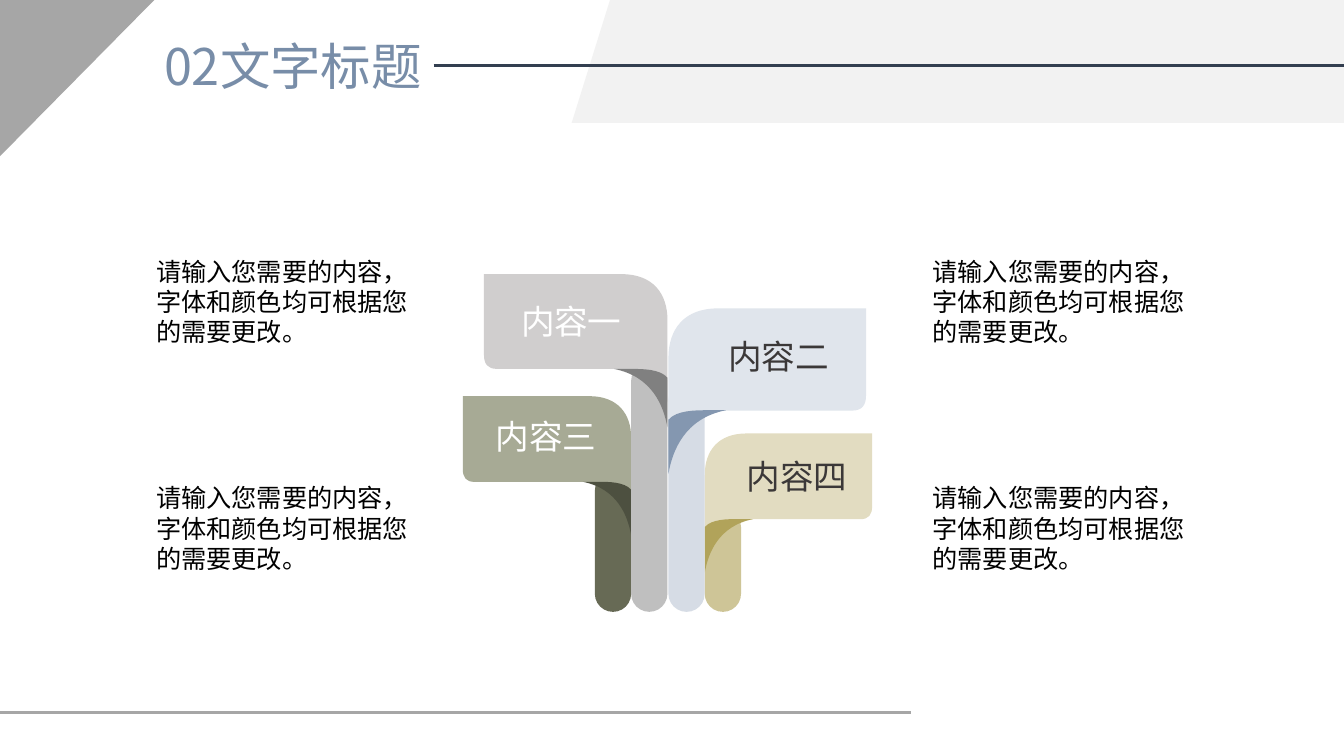
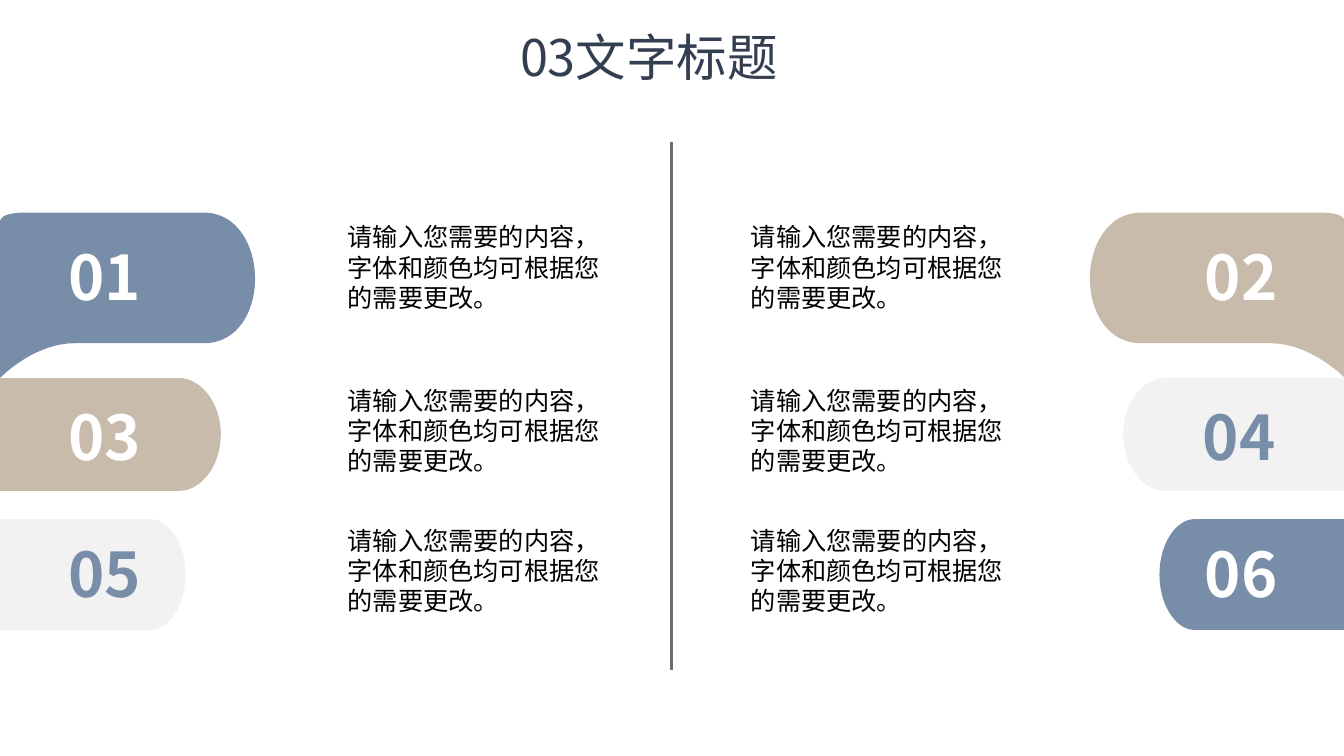
from lxml import etree
from pptx import Presentation
from pptx import util as u
from pptx.dml.color import RGBColor
from pptx.enum import shapes, text
from pptx.oxml import ns

PX = 9144
SLIDE_WIDTH, SLIDE_HEIGHT = 1333, 750
TITLE_FONT = "Noto Sans CJK JP"
BODY_FONT = "Noto Sans CJK SC"
WHITE, BLACK, CHARCOAL = "FFFFFF", "000000", "3B3838"
NAVY, BLUE, SAND = "333F50", "788DA8", "C8BBAC"
PALE, GREY, SLATE = "F2F2F2", "A6A6A6", "6A6F77"
BODY_TEXT = "请输入您需要的内容，字体和颜色均可根据您的需要更改。"
BODY_WIDTH, BODY_HEIGHT = 287, 101

BAND = [(0.05, 0), (1, 0), (1, 1), (0, 1)]
FLAG = [(0.25, 0), (0.08, 0, 0, 0.15, 0, 0.36), (0, 1),
        (0.02, 0.9, 0.12, 0.74, 0.29, 0.74), (0.93, 0.74),
        (0.98, 0.74, 1, 0.7, 1, 0.63), (1, 0)]
FOLD = [(0, 0.15), (0, 1), (0.07, 0.64, 0.28, 0.13, 1, 0), (0.69, 0),
        (0.47, 0, 0.14, 0, 0, 0.15)]
RIBBON = [(0, 1), (0, 0.05), (0.01, 0, 0.07, 0, 0.11, 0), (0.8, 0),
          (0.93, 0, 1, 0.2, 1, 0.4), (1, 0.6, 0.93, 0.79, 0.8, 0.79),
          (0.29, 0.79), (0.19, 0.79, 0.08, 0.88, 0, 1)]
TAB = [(0, 0), (0.81, 0), (0.91, 0, 1, 0.22, 1, 0.5),
       (1, 0.78, 0.91, 1, 0.81, 1), (0, 1)]


def draw_outline(slide, outline, box, color, flipped=False):
    left, top, width, height = box
    segments = [[(round((left + width * (1 - x if flipped else x)) * PX),
                  round((top + height * y) * PX))
                 for x, y in zip(segment[::2], segment[1::2])] for segment in outline]
    corners = [segment[-1] for segment in segments]
    builder = slide.shapes.build_freeform(*corners[0], scale=1.0)
    builder.add_line_segments(corners[1:], close=True)
    shape = builder.convert_to_shape()
    lines = list(shape._element.iter(ns.qn("a:lnTo")))
    for line, segment in zip(lines, segments[1:]):
        if len(segment) == 3:
            curve = etree.Element(ns.qn("a:cubicBezTo"))
            for x, y in segment:
                etree.SubElement(curve, ns.qn("a:pt"), x=str(x - shape.left), y=str(y - shape.top))
            line.getparent().replace(line, curve)
    shape.shadow.inherit = False
    shape.fill.solid()
    shape.fill.fore_color.rgb = RGBColor.from_string(color)
    shape.line.fill.background()


def write_text(shape, box, words, size, color, font=BODY_FONT, margins=(10, 5), wrap=True,
               align=text.PP_ALIGN.LEFT, bold=False, spacing=None):
    shape.left, shape.top, shape.width, shape.height = [value * PX for value in box]
    frame = shape.text_frame
    frame.text = words
    frame.auto_size = text.MSO_AUTO_SIZE.NONE
    frame.word_wrap = wrap
    frame.vertical_anchor = text.MSO_ANCHOR.TOP
    frame.margin_left = frame.margin_right = margins[0] * PX
    frame.margin_top = frame.margin_bottom = margins[1] * PX
    paragraph = frame.paragraphs[0]
    paragraph.alignment = align
    paragraph.line_spacing = u.Pt(size * 1.2)
    run = paragraph.runs[0]
    run.font.size = u.Pt(size)
    run.font.bold = bold
    run.font.color.rgb = RGBColor.from_string(color)
    run.font.name = font
    properties = run._r.get_or_add_rPr()
    etree.SubElement(properties, ns.qn("a:ea"), typeface=font)
    if spacing is not None:
        properties.set("spc", str(spacing))


presentation = Presentation()
presentation.slide_width = SLIDE_WIDTH * PX
presentation.slide_height = SLIDE_HEIGHT * PX

slides = []
for words, left, top, color in [("02文字标题", 151, 31, BLUE), ("03文字标题", 504, 22, NAVY)]:
    slide = presentation.slides.add_slide(presentation.slide_layouts[5])
    write_text(slide.shapes.title, (left, top, 279, 68), words, 36, color, font=TITLE_FONT,
               margins=(0, 4), align=text.PP_ALIGN.CENTER)
    slides.append(slide)
ribbon_slide, numbers_slide = slides

draw_outline(ribbon_slide, BAND, (567, -1, 767, 123), PALE)

corner = ribbon_slide.shapes.add_shape(
    shapes.MSO_SHAPE.RIGHT_TRIANGLE, -1 * PX, 0, 156 * PX, 154 * PX)
corner.rotation = 90
corner.shadow.inherit = False
corner.fill.solid()
corner.fill.fore_color.rgb = RGBColor.from_string(GREY)
corner.line.fill.background()

ribbons = [
    ("内容四", (731, 447), CHARCOAL, (699, 505), (699, 430, 166, 115), False,
     ("CEC597", "E2DCC1", "B1A35A")),
    ("内容二", (713, 328), CHARCOAL, (663, 379), (663, 306, 196, 137), False,
     ("D6DCE5", "E0E5EC", "8497B0")),
    ("内容三", (482, 408), WHITE, (590, 469), (459, 393, 167, 115), True,
     ("676A55", "A7AA95", "4D5040")),
    ("内容一", (507, 294), WHITE, (626, 360), (480, 272, 182, 127), True,
     ("BFBFBF", "D0CECE", "808080")),
]
for label, label_at, label_color, stem_at, flag, flipped, colors in ribbons:
    stem_color, flag_color, fold_color = colors
    stem_left, stem_top = stem_at
    stem = ribbon_slide.shapes.add_shape(
        shapes.MSO_SHAPE.ROUNDED_RECTANGLE, stem_left * PX, stem_top * PX,
        36 * PX, (607 - stem_top) * PX)
    stem.adjustments[0] = 0.5
    stem.shadow.inherit = False
    stem.fill.solid()
    stem.fill.fore_color.rgb = RGBColor.from_string(stem_color)
    stem.line.fill.background()
    draw_outline(ribbon_slide, FLAG, flag, flag_color, flipped)
    left, top, width, height = flag
    fold_width = round(width * 0.29)
    fold_left = left + width - fold_width if flipped else left
    fold = (fold_left, top + round(height * 0.74), fold_width, round(height * 0.46))
    draw_outline(ribbon_slide, FOLD, fold, fold_color, flipped)
    write_text(ribbon_slide.shapes.add_textbox(0, 0, 0, 0), (*label_at, 120, 50), label, 24,
               label_color, wrap=False, spacing=-30)

tags = [
    ("01", RIBBON, (0, 211, 253, 164), (41, 232), BLUE, WHITE),
    ("02", RIBBON, (1081, 211, 253, 164), (1168, 232), SAND, WHITE),
    ("03", TAB, (0, 375, 219, 112), (41, 391), SAND, WHITE),
    ("04", TAB, (1114, 375, 219, 112), (1166, 391), PALE, BLUE),
    ("05", TAB, (0, 515, 184, 110), (41, 527), PALE, BLUE),
    ("06", TAB, (1150, 515, 184, 110), (1168, 527), BLUE, WHITE),
]
for number, outline, box, number_at, color, number_color in tags:
    draw_outline(numbers_slide, outline, box, color, flipped=box[0] > 0)
    write_text(numbers_slide.shapes.add_textbox(0, 0, 0, 0), (*number_at, 126, 84), number, 44,
               number_color, align=text.PP_ALIGN.CENTER, bold=True)

for slide, columns, rows in [(ribbon_slide, (145, 915), (249, 474)),
                             (numbers_slide, (335, 735), (215, 377, 516))]:
    for top in rows:
        for left in columns:
            write_text(slide.shapes.add_textbox(0, 0, 0, 0),
                       (left, top, BODY_WIDTH, BODY_HEIGHT), BODY_TEXT, 18, BLACK)

rules = [
    (ribbon_slide, (430, 65, SLIDE_WIDTH, 65), NAVY, 2.25, ribbon_slide.shapes.title),
    (ribbon_slide, (0, 707, 904, 707), GREY, 2.25, None),
    (numbers_slide, (666, 141, 666, 665), SLATE, 1.5, None),
]
for slide, ends, color, weight, start_shape in rules:
    rule = slide.shapes.add_connector(
        shapes.MSO_CONNECTOR.STRAIGHT, *[value * PX for value in ends])
    rule.line.color.rgb = RGBColor.from_string(color)
    rule.line.width = u.Pt(weight)
    etree.SubElement(rule._element.spPr, ns.qn("a:effectLst"))
    if start_shape is not None:
        rule.begin_connect(start_shape, 3)

presentation.save("out.pptx")
